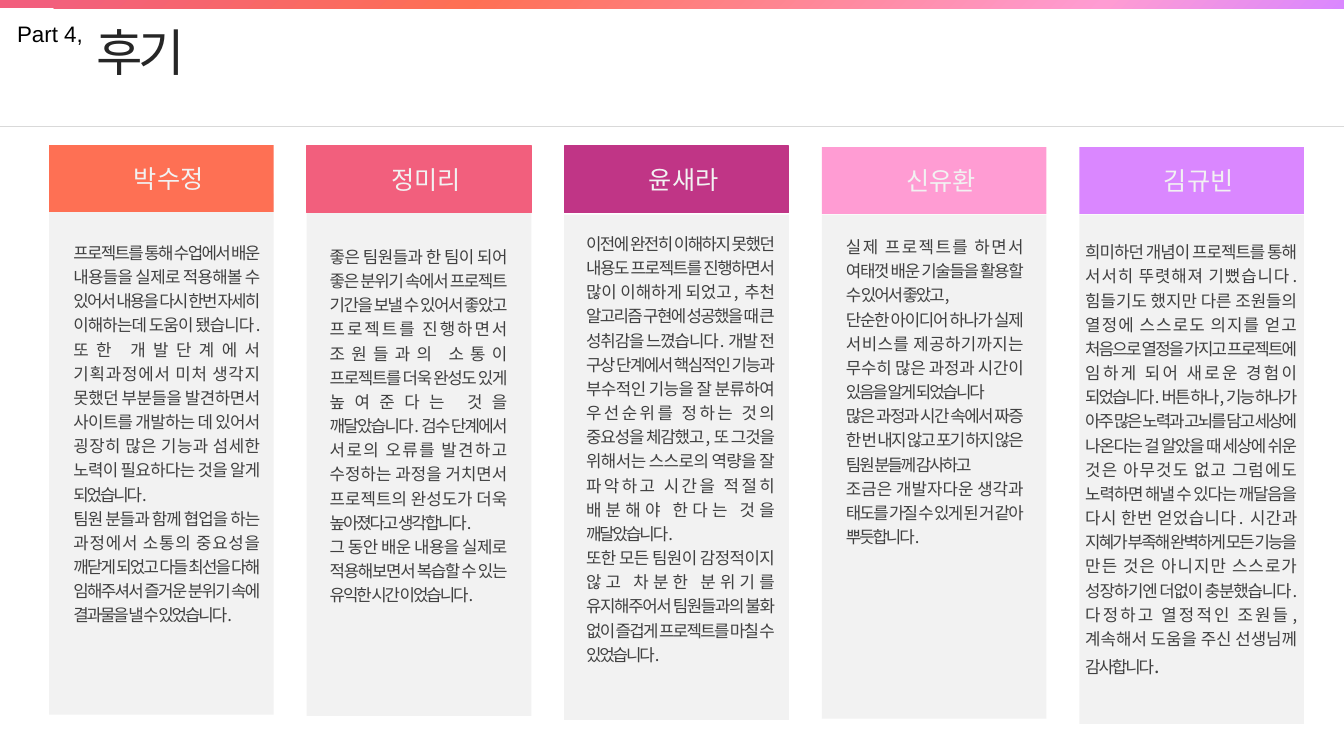
from copy import deepcopy

from lxml import etree
from pptx import Presentation
from pptx.dml.color import RGBColor
from pptx.enum.shapes import MSO_CONNECTOR, MSO_SHAPE
from pptx.enum.text import MSO_ANCHOR, MSO_AUTO_SIZE, PP_ALIGN
from pptx.oxml.ns import qn
from pptx.util import Cm, Pt

RECT = MSO_SHAPE.RECTANGLE
STRAIGHT = MSO_CONNECTOR.STRAIGHT
TOP, MIDDLE = MSO_ANCHOR.TOP, MSO_ANCHOR.MIDDLE
FIT, FIXED = MSO_AUTO_SIZE.SHAPE_TO_FIT_TEXT, MSO_AUTO_SIZE.NONE
LEFT, CENTER, JUSTIFY = PP_ALIGN.LEFT, PP_ALIGN.CENTER, PP_ALIGN.JUSTIFY

BLACK = RGBColor(0x00, 0x00, 0x00)
INK = RGBColor(0x26, 0x26, 0x26)
GRAY = RGBColor(0x40, 0x40, 0x40)
RULE = RGBColor(0xD9, 0xD9, 0xD9)
PALE = RGBColor(0xF2, 0xF2, 0xF2)
ORANGE = RGBColor(0xFE, 0x70, 0x54)
ROSE = RGBColor(0xF2, 0x5F, 0x7D)
PLUM = RGBColor(0xC0, 0x35, 0x86)
PINK = RGBColor(0xFF, 0x9C, 0xD3)
VIOLET = RGBColor(0xDA, 0x87, 0xFF)

SANS, NOTO = "Arial", "Noto Sans CJK KR"
WIDTH, HEIGHT = 33.87, 19.05
START, PITCH, CARD = 1.24, 6.49, 5.66
STOPS = [(0.03, ROSE), (0.35, ORANGE), (0.82, PINK), (1, VIOLET)]

CARDS = [
    dict(name="박수정", color=ORANGE, rim=0, top=3.66, panel=(4.88, 13.13),
         text=(0.36, 5.89, 5.16, 10.67), paras=[
        "프로젝트를 통해 수업에서 배운 내용들을 실제로 적용해볼 수 있어서 내용을 다시 한번 자세히 "
        "이해하는데 도움이 됐습니다. 또한 개발단계에서 기획과정에서 미처 생각지 못했던 부분들을 "
        "발견하면서 사이트를 개발하는 데 있어서 굉장히 많은 기능과 섬세한 노력이 필요하다는 것을 "
        "알게 되었습니다.",
        "팀원 분들과 함께 협업을 하는 과정에서 소통의 중요성을 깨닫게 되었고 다들 최선을 다해 "
        "임해주셔서 즐거운 분위기 속에 결과물을 낼 수 있었습니다."]),
    dict(name="정미리", color=ROSE, rim=1, top=3.68, panel=(5.21, 12.83),
         text=(0.33, 5.99, 4.93, 8.86), paras=[
        "좋은 팀원들과 한 팀이 되어 좋은 분위기 속에서 프로젝트 기간을 보낼 수 있어서 좋았고 "
        "프로젝트를 진행하면서 조원들과의 소통이 프로젝트를 더욱 완성도 있게 높여준다는 것을 "
        "깨달았습니다. 검수 단계에서 서로의 오류를 발견하고 수정하는 과정을 거치면서 프로젝트의 "
        "완성도가 더욱 높아졌다고 생각합니다.",
        "그 동안 배운 내용을 실제로 적용해보면서 복습할 수 있는 유익한 시간 이었습니다."]),
    dict(name="윤새라", color=PLUM, rim=1, top=3.68, panel=(5.41, 12.73),
         text=(0.3, 5.66, 5.21, 11.89), paras=[
        "이전에 완전히 이해하지 못했던 내용도 프로젝트를 진행하면서 많이 이해하게 되었고, 추천 "
        "알고리즘 구현에 성공했을 때 큰 성취감을 느꼈습니다. 개발 전 구상 단계에서 핵심적인 기능과 "
        "부수적인 기능을 잘 분류하여 우선순위를 정하는 것의 중요성을 체감했고, 또 그것을 위해서는 "
        "스스로의 역량을 잘 파악하고 시간을 적절히 배분해야 한다는 것을 깨달았습니다.",
        "또한 모든 팀원이 감정적이지 않고 차분한 분위기를 유지해주어서 팀원들과의 불화 없이 즐겁게 "
        "프로젝트를 마칠 수 있었습니다."]),
    dict(name="신유환", color=PINK, rim=0, top=3.71, panel=(5.41, 12.7),
         text=(0.36, 5.74, 4.93, 9.5), paras=[
        "실제 프로젝트를 하면서 여태껏 배운 기술들을 활용할 수 있어서 좋았고,",
        "단순한 아이디어 하나가 실제 서비스를 제공하기까지는 무수히 많은 과정과 시간이 있음을 알게 "
        "되었습니다",
        "많은 과정과 시간 속에서 짜증 한 번 내지 않고 포기 하지 않은 팀원 분들께 감사하고",
        "조금은 개발자다운 생각과 태도를 가질 수 있게 된 거 같아 뿌듯합니다."]),
    dict(name="김규빈", color=VIOLET, rim=0, top=3.71, panel=(5.41, 12.83),
         text=(-0.1, 5.87, 5.79, 11.43), end=".", paras=[
        "희미하던 개념이 프로젝트를 통해 서서히 뚜렷해져 기뻤습니다. 힘들기도 했지만 다른 조원들의 "
        "열정에 스스로도 의지를 얻고 처음으로 열정을 가지고 프로젝트에 임하게 되어 새로운 경험이 "
        "되었습니다. 버튼 하나, 기능 하나가 아주 많은 노력과 고뇌를 담고 세상에 나온다는 걸 알았을 때 "
        "세상에 쉬운 것은 아무것도 없고 그럼에도 노력하면 해낼 수 있다는 깨달음을 다시 한번 "
        "얻었습니다. 시간과 지혜가 부족해 완벽하게 모든 기능을 만든 것은 아니지만 스스로가 "
        "성장하기엔 더없이 충분했습니다. 다정하고 열정적인 조원들, 계속해서 도움을 주신 선생님께 "
        "감사합니다"]),
]


def add_run(para, text, size, color, font=NOTO, gap=0):
    run = para.add_run()
    run.text = text
    run.font.size = Pt(size)
    run.font.color.rgb = color
    run.font.name = font
    props = run.font._element
    etree.SubElement(props, qn("a:ea")).set("typeface", NOTO)
    if gap:
        props.set("spc", str(int(gap * 100)))


def add_rect(slide, box, color, rim=0):
    rect = slide.shapes.add_shape(RECT, *map(Cm, box))
    rect.shadow.inherit = False
    rect.fill.solid()
    rect.fill.fore_color.rgb = color
    if rim:
        rect.line.color.rgb = color
        rect.line.width = Pt(rim)
    else:
        rect.line.fill.background()
    return rect


def add_bar(slide, box):
    bar = add_rect(slide, box, ROSE)
    bar.fill.gradient()
    bar.fill.gradient_angle = 315
    marks = bar._element.spPr.find(qn("a:gradFill")).find(qn("a:gsLst"))
    for _ in range(len(STOPS) - len(marks)):
        marks.append(deepcopy(marks[0]))
    for stop, (place, color) in zip(bar.fill.gradient_stops, STOPS):
        stop.position = place
        stop.color.rgb = color


def add_header(slide, box):
    left, top, width, height = box
    base = Cm(top + height)
    rule = slide.shapes.add_connector(STRAIGHT, Cm(left), base, Cm(left + width), base)
    rule.line.color.rgb = RULE
    rule.line.width = Pt(0.5)
    etree.SubElement(rule._element.spPr, qn("a:effectLst"))

    title = slide.shapes.title
    title.left, title.top = Cm(left + 2.18), Cm(top + 0.41)
    title.width, title.height = Cm(2.87), Cm(1.8)
    frame = title.text_frame
    frame.auto_size, frame.word_wrap = FIXED, False
    frame.vertical_anchor = TOP
    para = frame.paragraphs[0]
    para.alignment = LEFT
    add_run(para, "후기", 36, INK, gap=-3)

    part = slide.shapes.add_textbox(Cm(left + 0.18), Cm(top + 0.38), Cm(2.31), Cm(0.94))
    part.text_frame.word_wrap = False
    add_run(part.text_frame.paragraphs[0], "Part 4,", 16, BLACK, SANS)


def add_card(slide, box, card):
    left, top, width, height = box
    start, depth = card["panel"]
    add_rect(slide, (left, start, width, depth), PALE)

    head = add_rect(slide, box, card["color"], card["rim"])
    frame = head.text_frame
    frame.margin_left = Cm(0.61)
    frame.vertical_anchor = MIDDLE
    para = frame.paragraphs[0]
    para.alignment = CENTER
    add_run(para, card["name"], 18, PALE, SANS)

    shift, *rest = card["text"]
    note = slide.shapes.add_textbox(Cm(left + shift), *map(Cm, rest))
    frame = note.text_frame
    frame.word_wrap, frame.auto_size = True, FIT
    for i, text in enumerate(card["paras"]):
        para = frame.add_paragraph() if i else frame.paragraphs[0]
        para.alignment = JUSTIFY
        para.line_spacing = 1.2
        add_run(para, text, 12, GRAY, gap=-1.5)
    if "end" in card:
        add_run(para, card["end"], 14, GRAY, gap=-1.5)


def main():
    deck = Presentation()
    deck.slide_width, deck.slide_height = Cm(WIDTH), Cm(HEIGHT)
    slide = deck.slides.add_slide(deck.slide_layouts[5])
    add_header(slide, (0, 0, WIDTH, 3.18))
    add_bar(slide, (0, 0, WIDTH, 0.21))
    for i, card in enumerate(CARDS):
        add_card(slide, (START + PITCH * i, card["top"], CARD, 1.68), card)
    deck.save("out.pptx")


if __name__ == "__main__":
    main()
